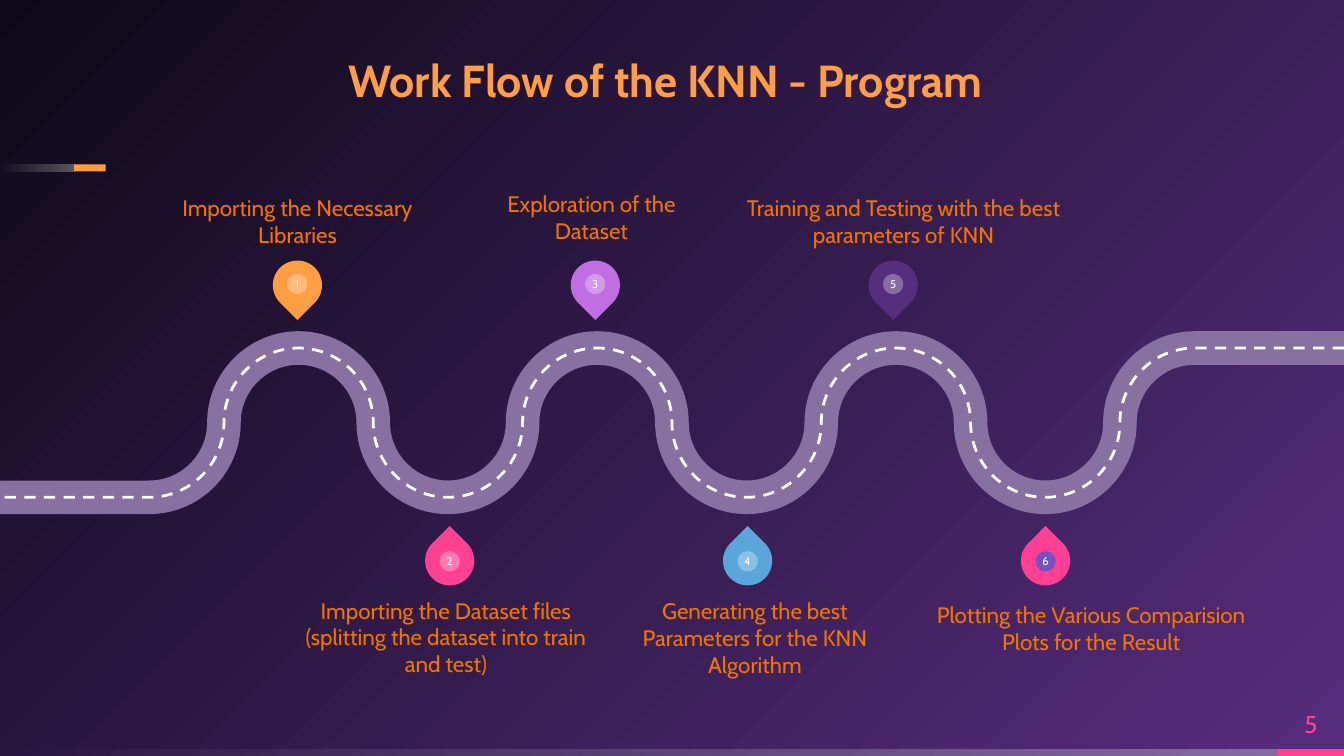
from lxml import etree
from pptx import Presentation
from pptx.dml.color import RGBColor
from pptx.enum import dml, shapes, text
from pptx.oxml import ns
from pptx.util import Cm, Pt

ORANGE = RGBColor(0xFF, 0x9E, 0x44)
DARK_ORANGE = RGBColor(0xF2, 0x75, 0x00)
PINK = RGBColor(0xFF, 0x40, 0x93)
LILAC = RGBColor(0xC0, 0x6E, 0xE2)
BLUE = RGBColor(0x5A, 0xA5, 0xDA)
PURPLE = RGBColor(0x57, 0x2D, 0x7E)
VIOLET = RGBColor(0x76, 0x52, 0xBE)
MAUVE = RGBColor(0x88, 0x70, 0xA0)
NIGHT = RGBColor(0x0E, 0x09, 0x18)
WHITE = RGBColor(0xFF, 0xFF, 0xFF)

FONT = "Cabin"
WIDTH, HEIGHT = 25.4, 14.29
RADIUS = WIDTH / 18
ROAD_MIDDLE = 7.99
CURVE = 0.55
PIN_SIZE, DOT_SIZE, PIN_GAP = 0.93, 0.38, 5.63

MIDDLE = text.MSO_ANCHOR.MIDDLE
BOTTOM = text.MSO_ANCHOR.BOTTOM
TOP = text.MSO_ANCHOR.TOP
CENTER = text.PP_ALIGN.CENTER

STAGES = [
    ("Importing the Necessary Libraries", (3.2, 3.22, 4.85, 1.47), ORANGE),
    ("Importing the Dataset files (splitting the dataset into train and test)",
     (5.61, 11.28, 5.64, 1.47), PINK),
    ("Exploration of the Dataset", (9.39, 3.3, 3.58, 1.32), LILAC),
    ("Generating the best Parameters for the KNN Algorithm",
     (11.59, 11.29, 5.36, 1.47), BLUE),
    ("Training and Testing with the best parameters of KNN",
     (13.97, 3.22, 6.22, 1.47), PURPLE),
    ("Plotting the Various Comparision Plots for the Result",
     (17.55, 11.37, 6.15, 1.47), PINK),
]


def set_format(target, values):
    for name, value in values.items():
        setattr(target, name, value)


def set_alpha(fill_element, percents):
    for color, percent in zip(fill_element.iter(ns.qn("a:srgbClr")), percents):
        etree.SubElement(color, ns.qn("a:alpha"), val=str(percent * 1000))


def write_text(shape, words, size, color, anchor=MIDDLE, align=CENTER, bold=False, spacing=1.0):
    frame = shape.text_frame
    set_format(frame, {
        "margin_left": 0, "margin_top": 0, "margin_right": 0, "margin_bottom": 0,
        "word_wrap": True, "auto_size": text.MSO_AUTO_SIZE.NONE, "vertical_anchor": anchor,
    })
    paragraph = frame.paragraphs[0]
    set_format(paragraph, {"alignment": align, "line_spacing": spacing})
    run = paragraph.add_run()
    run.text = words
    set_format(run.font, {"name": FONT, "size": Pt(size), "bold": bold})
    run.font.color.rgb = color


def add_text(slide, words, box, size, color, anchor):
    write_text(slide.shapes.add_textbox(*map(Cm, box)), words, size, color, anchor)


def add_solid(container, kind, box, color):
    shape = container.shapes.add_shape(kind, *map(Cm, box))
    shape.shadow.inherit = False
    shape.fill.solid()
    shape.fill.fore_color.rgb = color
    shape.line.fill.background()
    return shape


def set_gradient(fill, colors):
    fill.gradient()
    for stop, color, position in zip(fill.gradient_stops, colors, (0, 1)):
        stop.color.rgb = color
        stop.position = position


def add_fading_bar(slide, box):
    bar = add_solid(slide, shapes.MSO_SHAPE.RECTANGLE, box, WHITE)
    set_gradient(bar.fill, (WHITE, WHITE))
    bar.fill.gradient_angle = 180
    set_alpha(bar.element.spPr, (30, 0))


def paint_background(slide):
    fill = slide.background.fill
    set_gradient(fill, (PURPLE, NIGHT))
    linear = next(slide.element.iter(ns.qn("a:lin")))
    radial = etree.Element(ns.qn("a:path"), path="circle")
    etree.SubElement(radial, ns.qn("a:fillToRect"), l="100000", t="100000")
    linear.getparent().replace(linear, radial)


def road_points():
    heights = (-RADIUS, 0, RADIUS, 0)
    turns = [((16 - index) * RADIUS, ROAD_MIDDLE + heights[index % 4]) for index in range(15)]
    points = [(WIDTH, ROAD_MIDDLE - RADIUS), *turns, (0, ROAD_MIDDLE + RADIUS)]
    return [(Cm(x), Cm(y)) for x, y in points]


def curve_segment(segment, start, end, leaves_level):
    (x0, y0), (x1, y1) = start, end
    dx, dy = (x1 - x0) * CURVE, (y1 - y0) * CURVE
    if leaves_level:
        controls = [(x0 + dx, y0), (x1, y1 - dy)]
    else:
        controls = [(x0, y0 + dy), (x1 - dx, y1)]
    bend = etree.Element(ns.qn("a:cubicBezTo"))
    for x, y in [*controls, end]:
        etree.SubElement(bend, ns.qn("a:pt"), x=str(round(x)), y=str(round(y)))
    segment.getparent().replace(segment, bend)


def add_road(slide, color, width, dash=None):
    start, *rest = road_points()
    builder = slide.shapes.build_freeform(*start)
    builder.add_line_segments(rest, close=False)
    road = builder.convert_to_shape()
    local = [(int(point.get("x")), int(point.get("y")))
             for point in road.element.iter(ns.qn("a:pt"))]
    segments = list(road.element.iter(ns.qn("a:lnTo")))
    for index in range(1, len(segments) - 1):
        curve_segment(segments[index], local[index], local[index + 1], index % 2 == 1)
    road.shadow.inherit = False
    road.fill.background()
    road.line.color.rgb = color
    set_format(road.line, {"width": Pt(width), "dash_style": dash})


def centered_box(x, y, size):
    return x - size / 2, y - size / 2, size, size


def add_pin(slide, number, color):
    above = number % 2 == 1
    first_x, y, dot_y, rotation = (5.62, 5.39, 5.37, 135) if above else (8.5, 10.6, 10.61, 315)
    x = first_x + (number - 1) // 2 * PIN_GAP
    group = slide.shapes.add_group_shape()
    drop = add_solid(group, shapes.MSO_SHAPE.TEAR, centered_box(x, y, PIN_SIZE), color)
    drop.rotation = rotation
    last = number == len(STAGES)
    dot = add_solid(group, shapes.MSO_SHAPE.OVAL, centered_box(x, dot_y, DOT_SIZE),
                    VIOLET if last else WHITE)
    if not last:
        set_alpha(dot.element.spPr, (30,))
    write_text(dot, str(number), 6, WHITE)


def add_title(slide, words):
    title = slide.shapes.title
    box = {"left": 6.58, "top": 0.94, "width": 14.73, "height": 1.09}
    set_format(title, {name: Cm(value) for name, value in box.items()})
    write_text(title, words, 24, ORANGE, BOTTOM, text.PP_ALIGN.LEFT, True, 0.9)


def main():
    presentation = Presentation()
    set_format(presentation, {"slide_width": Cm(WIDTH), "slide_height": Cm(HEIGHT)})
    slide = presentation.slides.add_slide(presentation.slide_layouts[5])
    paint_background(slide)
    add_fading_bar(slide, (0, 14.16, 24.23, 0.13))
    add_solid(slide, shapes.MSO_SHAPE.RECTANGLE, (24.15, 14.16, 1.25, 0.13), PINK)
    add_fading_bar(slide, (0, 3.11, 1.41, 0.13))
    add_solid(slide, shapes.MSO_SHAPE.RECTANGLE, (1.4, 3.11, 0.6, 0.13), ORANGE)
    add_title(slide, "Work Flow of the KNN - Program")
    add_text(slide, "5", (24.15, 13.19, 1.25, 0.97), 13, PINK, MIDDLE)
    add_road(slide, MAUVE, 18)
    add_road(slide, WHITE, 1.5, dml.MSO_LINE.DASH)
    for number, (label, box, color) in enumerate(STAGES, 1):
        add_pin(slide, number, color)
        add_text(slide, label, box, 12, DARK_ORANGE, BOTTOM if number % 2 else TOP)
    presentation.save("out.pptx")


if __name__ == "__main__":
    main()
